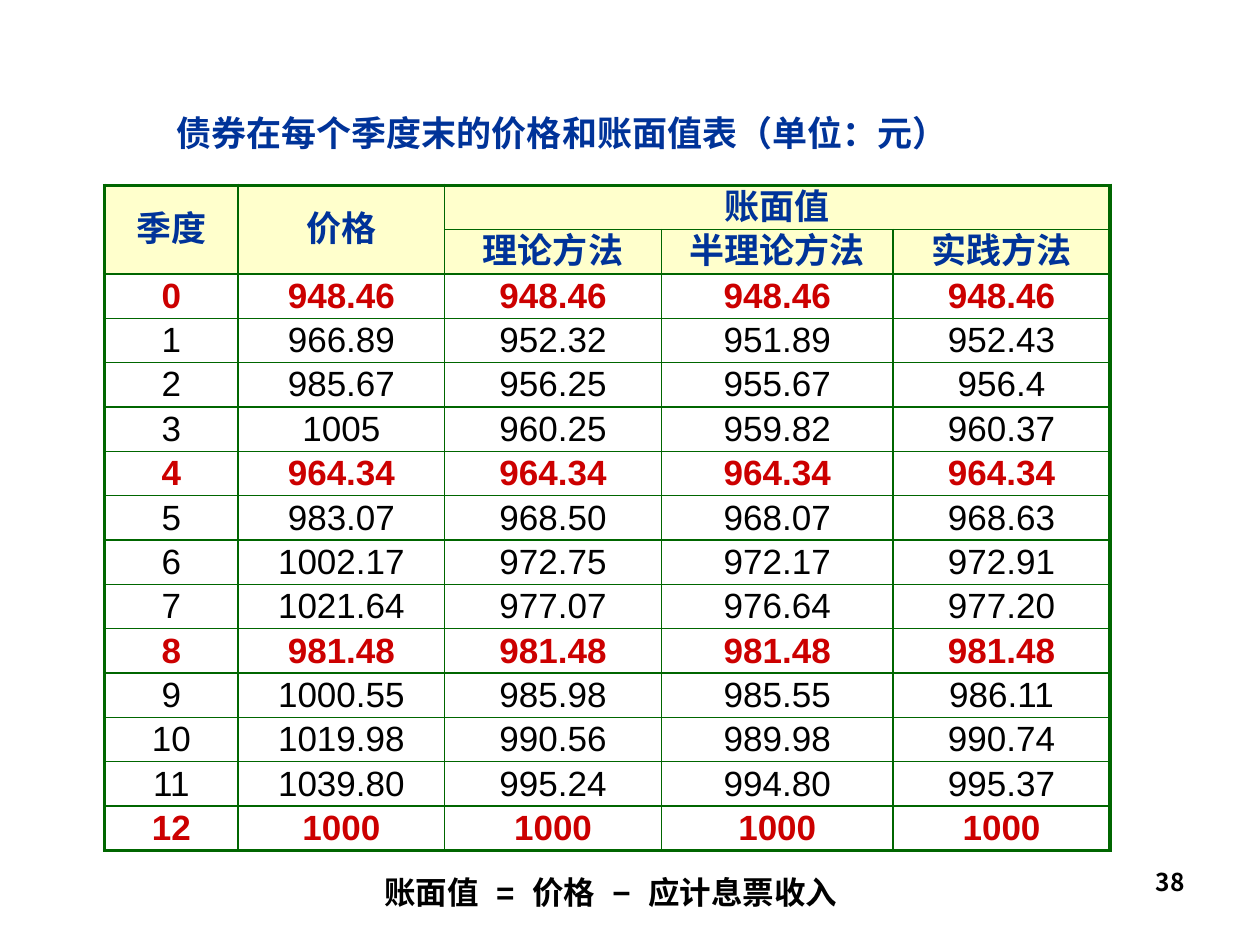
from dataclasses import dataclass
from lxml import etree
from pptx import Presentation
from pptx.dml.color import RGBColor as Rgb
from pptx.enum.text import MSO_ANCHOR as Anchor, MSO_AUTO_SIZE as Auto
from pptx.enum.text import PP_ALIGN as Align
from pptx.oxml.ns import qn
from pptx.util import Inches, Pt


@dataclass(frozen=True)
class Theme:
    sans: str = "Arial"
    cjk: str = "Noto Sans CJK SC"
    blue: str = "003399"
    red: str = "CC0000"
    black: str = "000000"
    green: str = "006600"
    cream: str = "FFFFCC"
    big: int = 20
    mid: int = 18
    small: int = 14
    thick: float = 2.25
    thin: float = 1


theme = Theme()

HEAD = [
    ["季度", "价格", "账面值", "", ""],
    ["", "", "理论方法", "半理论方法", "实践方法"],
]
BODY = [
    ["0"] + ["948.46"] * 4,
    ["1", "966.89", "952.32", "951.89", "952.43"],
    ["2", "985.67", "956.25", "955.67", "956.4"],
    ["3", "1005", "960.25", "959.82", "960.37"],
    ["4"] + ["964.34"] * 4,
    ["5", "983.07", "968.50", "968.07", "968.63"],
    ["6", "1002.17", "972.75", "972.17", "972.91"],
    ["7", "1021.64", "977.07", "976.64", "977.20"],
    ["8"] + ["981.48"] * 4,
    ["9", "1000.55", "985.98", "985.55", "986.11"],
    ["10", "1019.98", "990.56", "989.98", "990.74"],
    ["11", "1039.80", "995.24", "994.80", "995.37"],
    ["12"] + ["1000"] * 4,
]
WIDTHS = [1.06, 1.64, 1.72, 1.84, 1.72]
# Joined heading cells: first cell to last cell
JOINS = {(0, 0): (1, 0), (0, 1): (1, 1), (0, 2): (0, 4)}


def write(frame, text, face, size, color, bold=True, align=Align.LEFT):
    frame.text = text
    para = frame.paragraphs[0]
    para.alignment = align
    font = para.font
    font.name, font.size, font.bold = face, Pt(size), bold
    font.color.rgb = Rgb.from_string(color)
    # East Asian glyphs follow the same typeface
    latin = para._p.pPr.find(qn("a:defRPr")).find(qn("a:latin"))
    latin.addnext(latin.makeelement(qn("a:ea"), {"typeface": face}))


def edge(cell, sides):
    props = cell._tc.get_or_add_tcPr()
    for spot, (side, width) in enumerate(sides.items()):
        line = etree.Element(qn(f"a:ln{side}"), w=str(Pt(width)))
        fill = etree.SubElement(line, qn("a:solidFill"))
        etree.SubElement(fill, qn("a:srgbClr"), val=theme.green)
        props.insert(spot, line)


def add_title(slide, box):
    title = slide.shapes.title
    title.left, title.top, title.width, title.height = map(Inches, box)
    frame = title.text_frame
    frame.word_wrap = True
    frame.vertical_anchor = Anchor.MIDDLE
    write(frame, "债券在每个季度末的价格和账面值表（单位：元）",
          theme.cjk, theme.big, theme.blue)


def add_grid(slide, box):
    rows = HEAD + BODY
    last, end = len(rows) - 1, len(WIDTHS) - 1
    grid = slide.shapes.add_table(last + 1, end + 1, *map(Inches, box)).table
    grid.first_row = grid.horz_banding = False
    for col, width in zip(grid.columns, WIDTHS):
        col.width = Inches(width)
    for row in grid.rows:
        row.height = Inches(box[3] / len(rows))

    for r, row in enumerate(rows):
        top = r < len(HEAD)
        # Year ends stand out in red
        key = not top and (r - len(HEAD)) % 4 == 0
        color = theme.blue if top else theme.red if key else theme.black
        for c, text in enumerate(row):
            cell = grid.cell(r, c)
            cell.margin_left = cell.margin_right = 0
            cell.margin_top = cell.margin_bottom = 0
            cell.vertical_anchor = Anchor.MIDDLE
            if top:
                cell.fill.solid()
                cell.fill.fore_color.rgb = Rgb.from_string(theme.cream)
            else:
                cell.fill.background()
            write(cell.text_frame, text, theme.sans, theme.big, color,
                  top or key, Align.CENTER)
            # A joined cell reaches as far as its last cell
            low, far = JOINS.get((r, c), (r, c))
            outer = {"L": c == 0, "R": far == end, "T": r == 0, "B": low == last}
            edge(cell, {side: theme.thick if out else theme.thin
                        for side, out in outer.items()})

    for start, stop in JOINS.items():
        grid.cell(*start).merge(grid.cell(*stop))


def add_note(slide, box, text, face, size, align=Align.LEFT, wrap=True):
    frame = slide.shapes.add_textbox(*map(Inches, box)).text_frame
    frame.word_wrap = wrap
    frame.auto_size = Auto.NONE if wrap else Auto.SHAPE_TO_FIT_TEXT
    write(frame, text, face, size, theme.black, align=align)


deck = Presentation()
deck.slide_width, deck.slide_height = Inches(10), Inches(7.5)
slide = deck.slides.add_slide(deck.slide_layouts[5])

add_title(slide, (1.3, 0.84, 7.4, 0.43))
add_grid(slide, (0.83, 1.47, 7.99, 5.28))
# Formula and page number
add_note(slide, (2.95, 6.88, 3.92, 0.4), "账面值  =  价格  −  应计息票收入",
         theme.sans, theme.mid, wrap=False)
add_note(slide, (7.17, 6.83, 2.33, 0.52), "38", theme.cjk, theme.small,
         Align.RIGHT)

deck.save("out.pptx")
